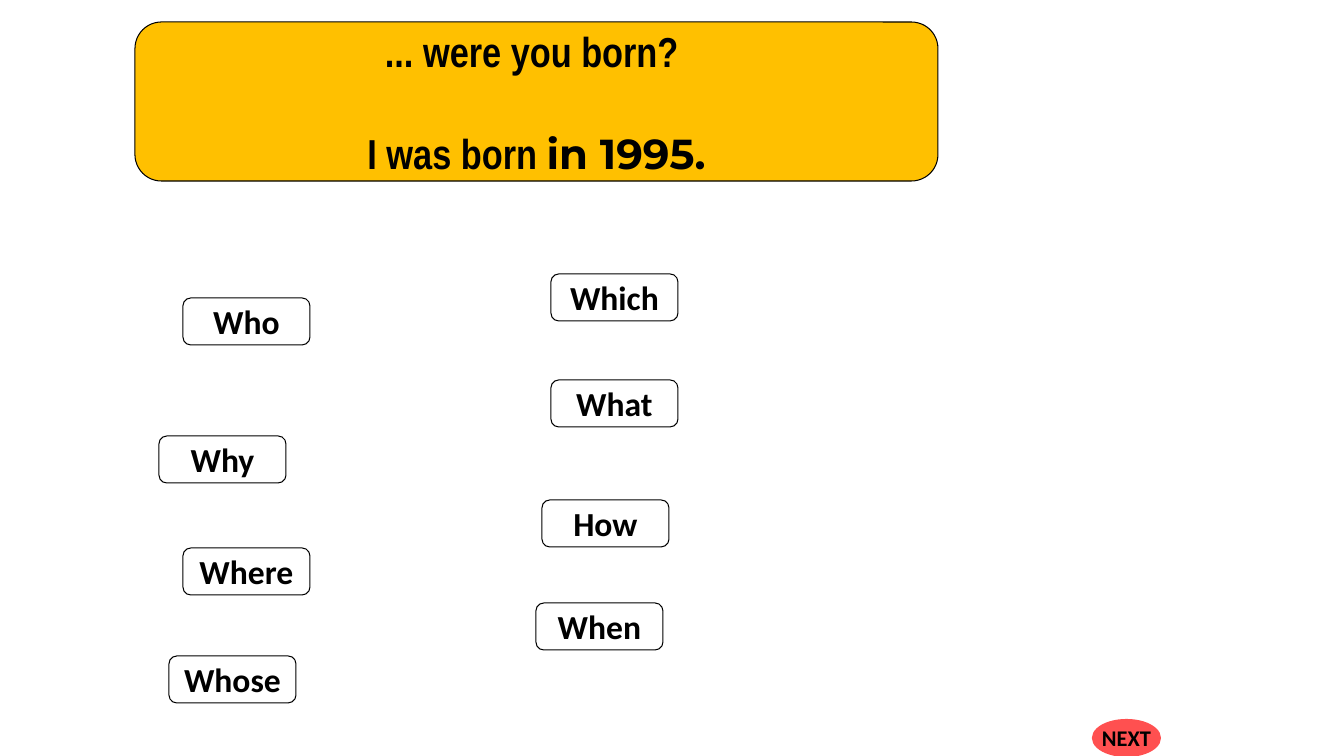
from dataclasses import dataclass

from pptx import Presentation
from pptx.dml.color import RGBColor
from pptx.enum.shapes import MSO_SHAPE as Preset
from pptx.enum.text import MSO_ANCHOR as Anchor, PP_ALIGN as Align
from pptx.shapes.autoshape import Shape
from pptx.slide import Slide
from pptx.util import Emu, Pt

EMU_PER_PX = 914400 / 100.8


@dataclass(frozen=True)
class Theme:
    banner: RGBColor = RGBColor(0xFF, 0xC0, 0x00)
    card: RGBColor = RGBColor(0xFF, 0xFF, 0xFF)
    button: RGBColor = RGBColor(0xFF, 0x50, 0x50)
    ink: RGBColor = RGBColor(0x00, 0x00, 0x00)
    question_font: str = "Arial Narrow"
    answer_font: str = "Montserrat"
    label_font: str = "Calibri"
    question_size: float = 29.9
    question_gap: float = 37
    card_size: float = 24
    button_size: float = 16
    outline: float = 0.75
    button_outline: float = 1.5


@dataclass(frozen=True)
class Box:
    left: int
    top: int
    width: int
    height: int


@dataclass(frozen=True)
class Card:
    word: str
    left: int
    top: int


THEME = Theme()
CARD_WIDTH, CARD_HEIGHT = 127, 47
BANNER = Box(135, 22, 803, 159)
NEXT_BUTTON = Box(1093, 720, 67, 36)
CARDS = [
    Card("Who", 183, 298),
    Card("Why", 159, 436),
    Card("Where", 183, 548),
    Card("Whose", 169, 656),
    Card("Which", 551, 274),
    Card("What", 551, 380),
    Card("How", 542, 500),
    Card("When", 536, 603),
]


def px(length: int) -> Emu:
    return Emu(round(length * EMU_PER_PX))


def add_box(slide: Slide, preset: Preset, box: Box, fill: RGBColor,
            line: RGBColor, line_width: float) -> Shape:
    shape = slide.shapes.add_shape(
        preset, px(box.left), px(box.top), px(box.width), px(box.height))
    shape.shadow.inherit = False
    shape.fill.solid()
    shape.fill.fore_color.rgb = fill
    shape.line.color.rgb = line
    shape.line.width = Pt(line_width)
    shape.text_frame.word_wrap = False
    shape.text_frame.vertical_anchor = Anchor.MIDDLE
    return shape


def format_text(shape: Shape, font_name: str, size: float) -> None:
    for paragraph in shape.text_frame.paragraphs:
        paragraph.alignment = Align.CENTER
        paragraph.font.name = font_name
        paragraph.font.size = Pt(size)
        paragraph.font.bold = True
        paragraph.font.color.rgb = THEME.ink


def add_banner(slide: Slide) -> None:
    shape = add_box(slide, Preset.ROUNDED_RECTANGLE, BANNER,
                    THEME.banner, THEME.ink, THEME.outline)
    shape.text_frame.text = "... were you born? "
    reply = shape.text_frame.add_paragraph()
    reply.space_before = Pt(THEME.question_gap)
    reply.add_run().text = "I was born "
    answer = reply.add_run()
    answer.text = "in 1995."
    answer.font.name = THEME.answer_font
    format_text(shape, THEME.question_font, THEME.question_size)


def add_card(slide: Slide, card: Card) -> None:
    box = Box(card.left, card.top, CARD_WIDTH, CARD_HEIGHT)
    shape = add_box(slide, Preset.ROUNDED_RECTANGLE, box,
                    THEME.card, THEME.ink, THEME.outline)
    shape.text_frame.text = card.word
    format_text(shape, THEME.label_font, THEME.card_size)


def add_next_button(slide: Slide) -> None:
    shape = add_box(slide, Preset.OVAL, NEXT_BUTTON,
                    THEME.button, THEME.button, THEME.button_outline)
    shape.text_frame.text = "NEXT"
    format_text(shape, THEME.label_font, THEME.button_size)


def main() -> None:
    presentation = Presentation()
    presentation.slide_width = px(1344)
    presentation.slide_height = px(756)
    slide = presentation.slides.add_slide(presentation.slide_layouts[6])

    # Question and its reply
    add_banner(slide)

    # Question words to choose from
    for card in CARDS:
        add_card(slide, card)

    # Navigation
    add_next_button(slide)

    presentation.save("out.pptx")


if __name__ == "__main__":
    main()
